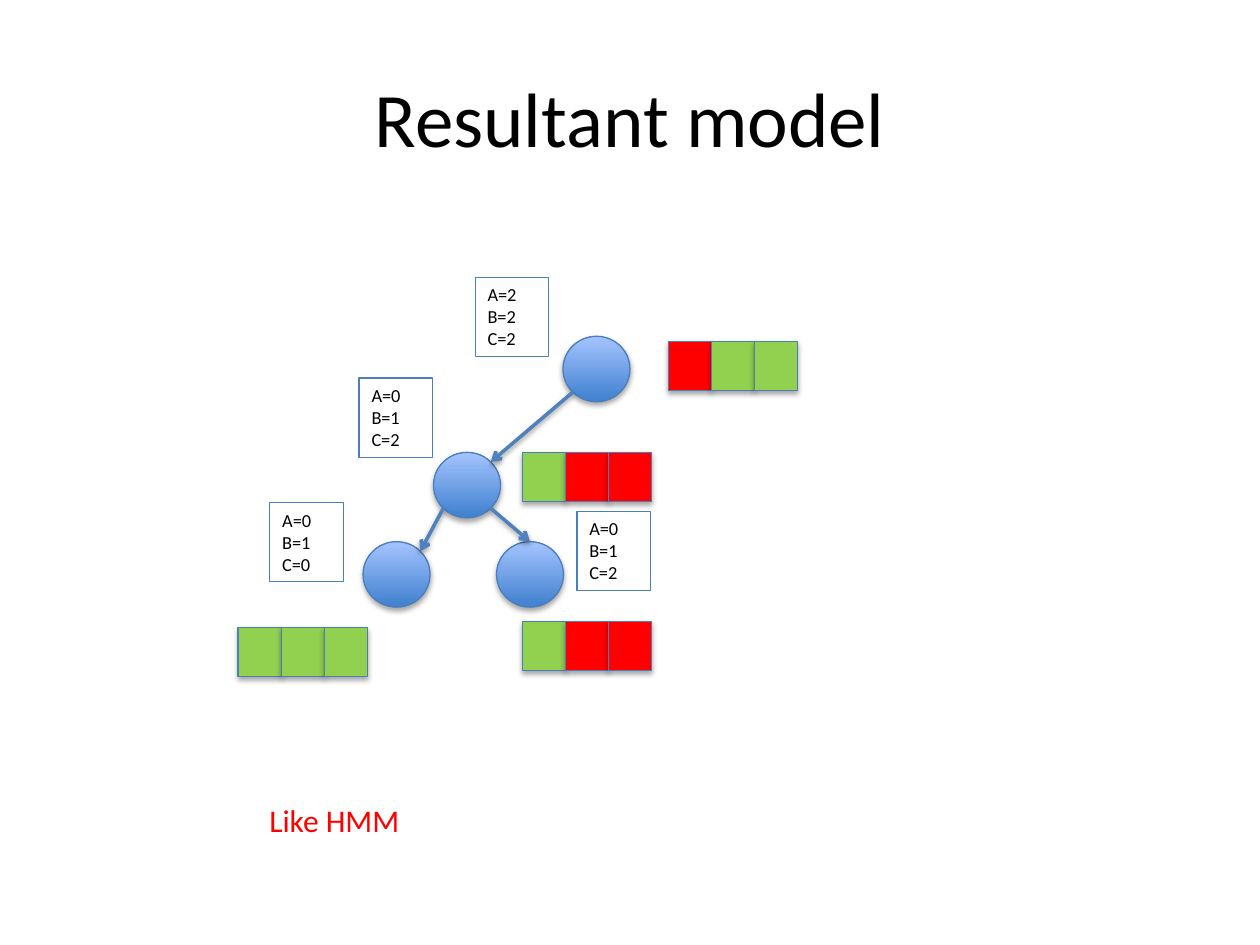
"""Build a slide showing a small tree model with its values and colour strips."""
from dataclasses import dataclass
from math import sqrt

from lxml import etree
from pptx import Presentation, util as u
from pptx.dml.color import RGBColor
from pptx.enum import shapes, text
from pptx.oxml.ns import qn


@dataclass(frozen=True)
class Theme:
    font: str = "Calibri"
    black: str = "000000"
    red: str = "FF0000"
    green: str = "92D050"
    outline: str = "4B7EBC"
    arrow: str = "4F81BD"
    dark: str = "3F80CE"
    light: str = "A4C4FF"
    title: float = 44
    label: float = 10.5
    note: float = 18


T = Theme()
rgb = RGBColor.from_string


def add_text(box, lines, size, color, align=text.PP_ALIGN.LEFT):
    s = slide.shapes.add_textbox(*map(u.Cm, box))
    tf = s.text_frame
    tf.word_wrap = True
    tf.text = "\n".join(lines)
    for p in tf.paragraphs:
        p.alignment = align
        p.font.name, p.font.size = T.font, u.Pt(size)
        p.font.color.rgb = rgb(color)
    return s


def outline(s, color, width, alpha=0, dist=0):
    s.line.color.rgb = rgb(color)
    s.line.width = u.Pt(width)
    if alpha:
        effects = etree.SubElement(s._element.spPr, qn("a:effectLst"))
        shadow = etree.SubElement(effects, qn("a:outerShdw"), blurRad=str(u.Pt(3.1)),
                                  dist=str(u.Pt(dist)), dir="5400000", rotWithShape="0")
        shade = etree.SubElement(shadow, qn("a:srgbClr"), val=T.black)
        etree.SubElement(shade, qn("a:alpha"), val=str(alpha * 1000))


prs = Presentation()
prs.slide_width, prs.slide_height = u.Cm(25.4), u.Cm(19.05)
slide = prs.slides.add_slide(prs.slide_layouts[6])

title = add_text((1.27, 0.76, 22.86, 3.18), ["Resultant model"], T.title, T.black,
                 text.PP_ALIGN.CENTER)
title.text_frame.vertical_anchor = text.MSO_ANCHOR.MIDDLE

node_w, node_h = 1.35, 1.32
nodes = {"root": (11.35, 6.78), "middle": (8.74, 9.12),
         "left": (7.32, 10.92), "right": (10.01, 10.92)}
for x, y in nodes.values():
    s = slide.shapes.add_shape(shapes.MSO_SHAPE.OVAL, *map(u.Cm, (x, y, node_w, node_h)))
    s.fill.gradient()
    s.fill.gradient_angle = 90
    for stop, color, position in zip(s.fill.gradient_stops, (T.dark, T.light), (0, 1)):
        stop.color.rgb, stop.position = rgb(color), position
    outline(s, T.outline, 0.75, 35, 1.8)

d = sqrt(0.5)
edges = [("middle", (-d, d), "left", (d, -d)),
         ("middle", (d, d), "right", (0, -1)),
         ("root", (-d, d), "middle", (d, -d))]
for parent, start, child, end in edges:
    points = [u.Cm(v) for name, (dx, dy) in ((parent, start), (child, end))
              for v in (nodes[name][0] + node_w / 2 * (1 + dx),
                        nodes[name][1] + node_h / 2 * (1 + dy))]
    s = slide.shapes.add_connector(shapes.MSO_CONNECTOR.STRAIGHT, *points)
    outline(s, T.arrow, 2, 38, 1.6)
    etree.SubElement(s._element.spPr.find(qn("a:ln")), qn("a:tailEnd"), type="arrow")

labels = [(9.58, 5.59, (2, 2, 2)), (7.24, 7.62, (0, 1, 2)),
          (5.44, 10.13, (0, 1, 0)), (11.63, 10.31, (0, 1, 2))]
for x, y, values in labels:
    lines = [f"{name}={value}" for name, value in zip("ABC", values)]
    s = add_text((x, y, 1.48, 1.6), lines, T.label, T.black)
    outline(s, T.outline, 0.75)

strips = [(4.8, 12.65, (T.green, T.green, T.green)),
          (10.53, 12.53, (T.green, T.red, T.red)),
          (10.53, 9.12, (T.green, T.red, T.red)),
          (13.47, 6.88, (T.red, T.green, T.green))]
cell_w, cell_h = 0.87, 0.99
for x, y, colors in strips:
    for i, color in enumerate(colors):
        s = slide.shapes.add_shape(shapes.MSO_SHAPE.RECTANGLE,
                                   *map(u.Cm, (x + i * cell_w, y, cell_w, cell_h)))
        s.fill.solid()
        s.fill.fore_color.rgb = rgb(color)
        outline(s, T.outline, 0.75, 35, 1.8)

add_text((5.18, 16.03, 8.28, 1.02), ["Like HMM"], T.note, T.red)

prs.save("out.pptx")
